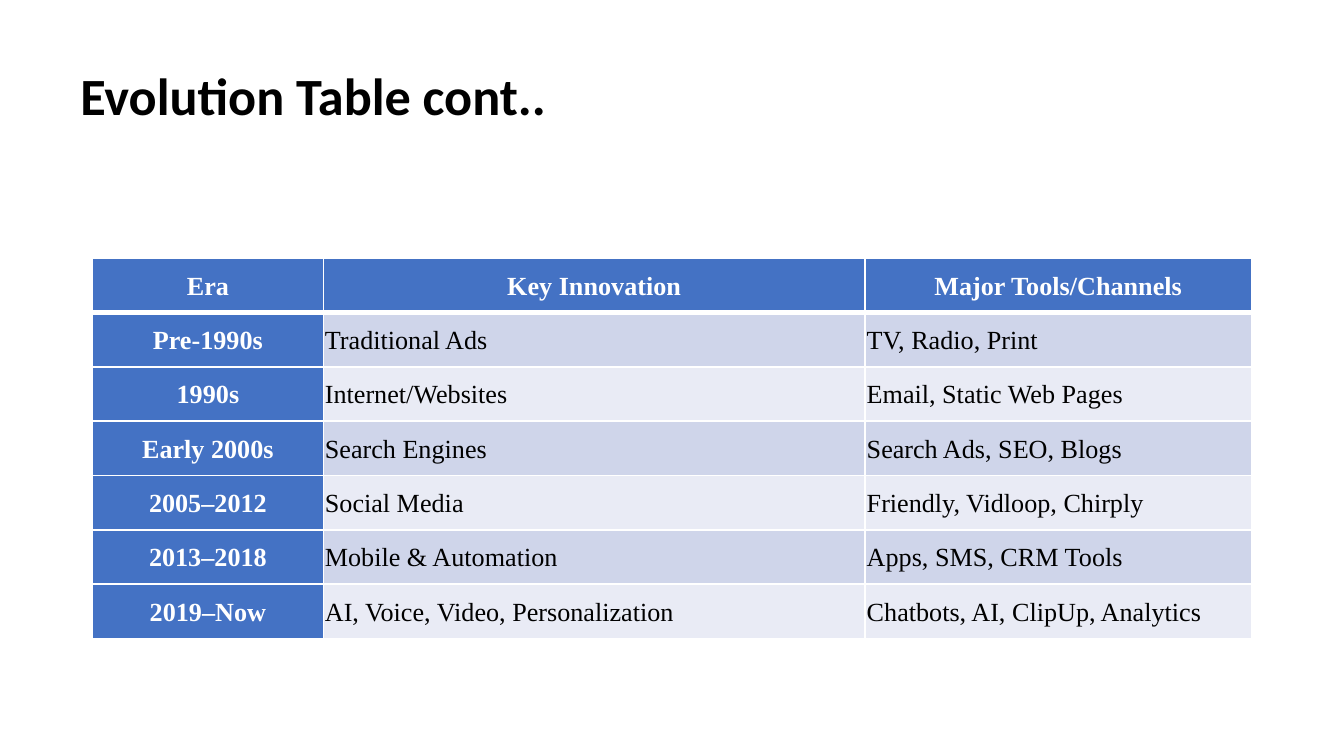
from dataclasses import dataclass

from lxml.etree import SubElement as Sub
from pptx import Presentation
from pptx.dml.color import RGBColor as RGB
from pptx.enum.text import MSO_ANCHOR as Anchor, PP_ALIGN as Align
from pptx.oxml.ns import qn
from pptx.util import Cm, Pt


@dataclass(frozen=True)
class Theme:
    blue: str = "4472C4"
    bands: tuple = ("CFD5EA", "E9EBF5")
    white: str = "FFFFFF"
    black: str = "000000"
    head: str = "Calibri"
    body: str = "Times New Roman"
    big: int = 28
    small: int = 14
    thin: int = 1
    thick: int = 3


ROWS = [
    ("Era", "Key Innovation", "Major Tools/Channels"),
    ("Pre-1990s", "Traditional Ads", "TV, Radio, Print"),
    ("1990s", "Internet/Websites", "Email, Static Web Pages"),
    ("Early 2000s", "Search Engines", "Search Ads, SEO, Blogs"),
    ("2005–2012", "Social Media", "Friendly, Vidloop, Chirply"),
    ("2013–2018", "Mobile & Automation", "Apps, SMS, CRM Tools"),
    ("2019–Now", "AI, Voice, Video, Personalization",
     "Chatbots, AI, ClipUp, Analytics"),
]


def apply(item, form):
    for key, val in form.items():
        setattr(item, key, val)


class Deck:
    def __init__(self, theme):
        self.theme = theme
        self.show = Presentation()
        apply(self.show, {"slide_width": Cm(25.4), "slide_height": Cm(14.29)})
        self.slide = self.show.slides.add_slide(self.show.slide_layouts[6])

    def label(self, para, text, color, **form):
        run = para.add_run()
        run.text = text
        apply(run.font, form)
        run.font.color.rgb = RGB.from_string(color)

    def title(self, text, box):
        frame = self.slide.shapes.add_textbox(*map(Cm, box)).text_frame
        apply(frame, {"word_wrap": True, "vertical_anchor": Anchor.MIDDLE})
        t = self.theme
        self.label(frame.paragraphs[0], text, t.black,
                   name=t.head, size=Pt(t.big), bold=True)

    def edge(self, cell, side, width):
        """Draw one white cell border; call before the cell is filled."""
        line = Sub(cell._tc.get_or_add_tcPr(), qn(f"a:ln{side}"), w=str(Pt(width)))
        fill = Sub(line, qn("a:solidFill"))
        Sub(fill, qn("a:srgbClr"), val=self.theme.white)

    def cell(self, cell, text, row, col):
        t = self.theme
        header = row == 0 or col == 0
        heavy = {0: "B", 1: "T"}.get(row)
        for side in "LRTB":
            self.edge(cell, side, t.thick if side == heavy else t.thin)
        cell.fill.solid()
        shade = t.blue if header else t.bands[(row - 1) % 2]
        cell.fill.fore_color.rgb = RGB.from_string(shade)
        sides = ("left", "right", "top", "bottom")
        apply(cell, {f"margin_{side}": Cm(0.03) for side in sides})
        cell.vertical_anchor = Anchor.MIDDLE
        para = cell.text_frame.paragraphs[0]
        apply(para, {"alignment": Align.CENTER if header else Align.LEFT,
                     "line_spacing": 1.07})
        self.label(para, text, t.white if header else t.black,
                   name=t.body, size=Pt(t.small), bold=header)

    def table(self, rows, left, top, widths, height):
        grid = self.slide.shapes.add_table(
            len(rows), len(widths), Cm(left), Cm(top),
            Cm(sum(widths)), Cm(height)).table
        for col, width in zip(grid.columns, widths):
            col.width = Cm(width)
        for r, row in enumerate(rows):
            for c, text in enumerate(row):
                self.cell(grid.cell(r, c), text, r, c)


def main():
    deck = Deck(Theme())
    deck.title("Evolution Table cont..", (1.27, 0.64, 22.86, 2.29))
    deck.table(ROWS, 1.75, 4.88, (4.36, 10.24, 7.3), 7.19)
    deck.show.save("out.pptx")


if __name__ == "__main__":
    main()
